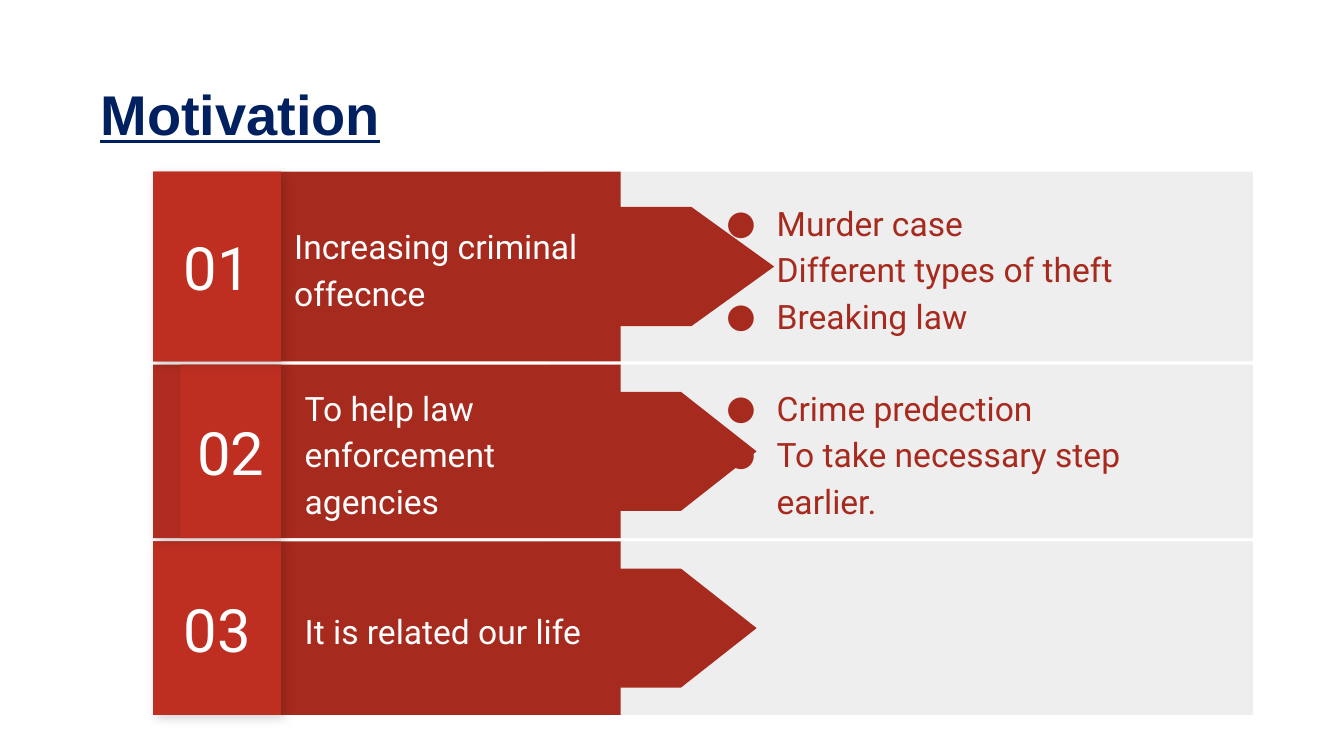
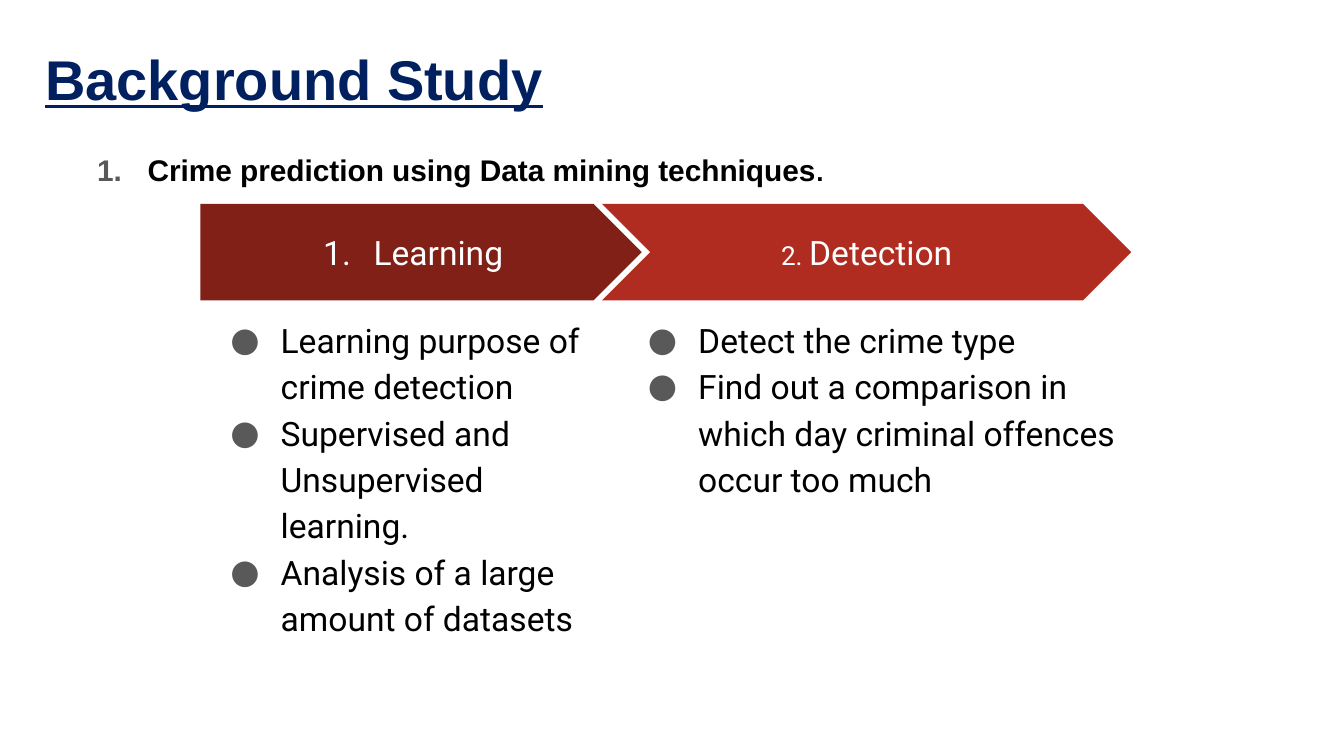
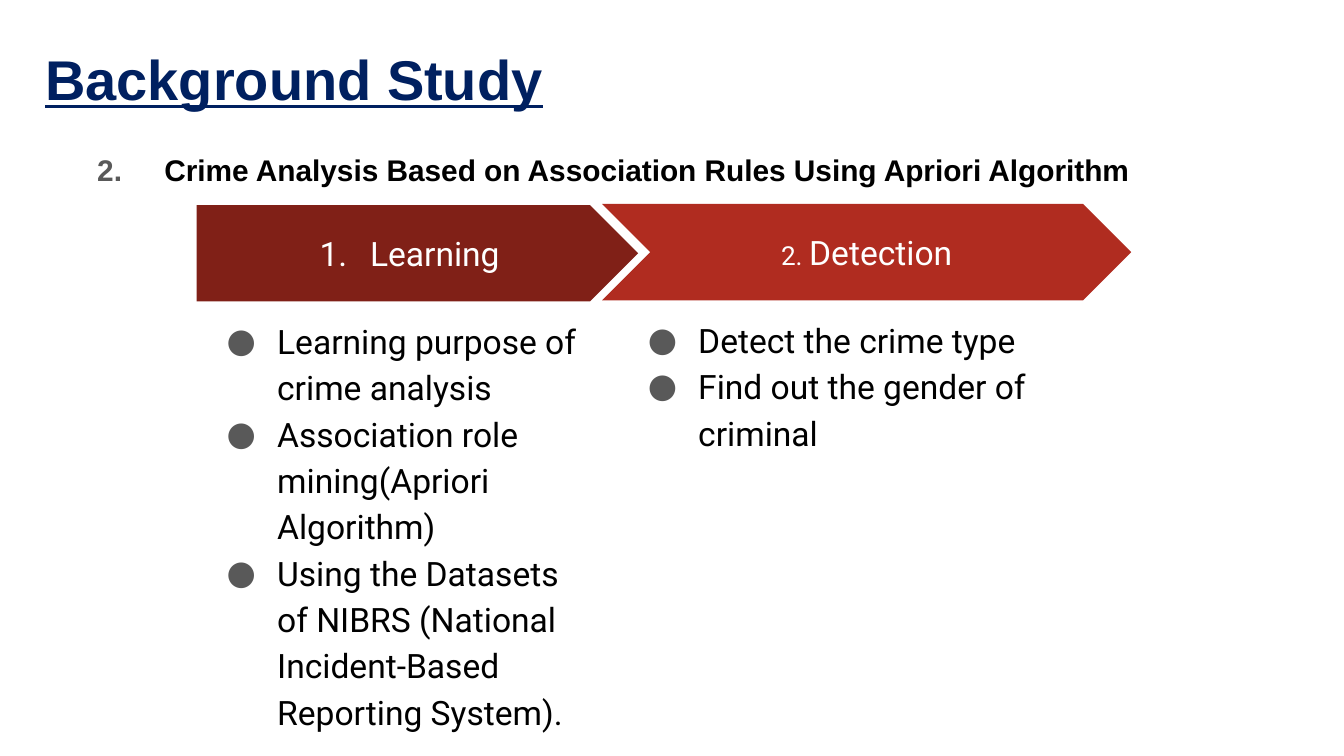
"""Build three slides on the motivation and background of crime prediction."""
from lxml.etree import SubElement
from pptx import Presentation
from pptx.dml.color import RGBColor
from pptx.enum.shapes import MSO_SHAPE as Shape
from pptx.enum.text import MSO_ANCHOR as Anchor, MSO_AUTO_SIZE as AutoSize, PP_ALIGN as Align
from pptx.oxml.ns import qn
from pptx.util import Pt

COLORS = {
    "navy": "002060", "white": "FFFFFF", "black": "000000", "gray": "595959",
    "panel": "EEEEEE", "crimson": "A72A1E", "brick": "B02C20",
    "scarlet": "BE2F22", "maroon": "802017",
}
HEAD, BODY = "Arial", "Roboto"
BULLET, NUMBER = ("buChar", "char", "●"), ("buAutoNum", "type", "arabicPeriod")


class Deck:
    def __init__(self, width, height):
        self.prs = Presentation()
        self.prs.slide_width, self.prs.slide_height = Pt(width), Pt(height)
        self.slide = None

    def color(self, name):
        return RGBColor.from_string(COLORS[name])

    def new_slide(self, title, left, top, width):
        self.slide = self.prs.slides.add_slide(self.prs.slide_layouts[5])
        heading = self.slide.shapes.title
        heading.left, heading.top = Pt(left), Pt(top)
        heading.width, heading.height = Pt(width), Pt(45.4)
        frame = self.frame(heading, Anchor.TOP)
        paragraph = self.paragraph(frame)
        self.run(paragraph, title, 30, "navy", HEAD, bold=True).underline = True

    def frame(self, shape, anchor):
        frame = shape.text_frame
        frame.auto_size, frame.word_wrap = AutoSize.NONE, True
        frame.vertical_anchor = anchor
        frame.margin_left = frame.margin_right = Pt(7.2)
        frame.margin_top = frame.margin_bottom = Pt(7.2)
        return frame

    def paragraph(self, frame, align=Align.LEFT, spacing=None):
        used = frame.paragraphs[0].runs
        paragraph = frame.add_paragraph() if used else frame.paragraphs[0]
        paragraph.alignment = align
        if spacing:
            paragraph.line_spacing = spacing
        return paragraph

    def run(self, paragraph, text, size, color, font=BODY, bold=False):
        run = paragraph.add_run()
        run.text = text
        run.font.name, run.font.size, run.font.bold = font, Pt(size), bold
        run.font.color.rgb = self.color(color)
        return run.font

    def indent(self, paragraph, margin, hanging=0):
        props = paragraph._p.get_or_add_pPr()
        props.set("marL", str(Pt(margin)))
        props.set("indent", str(-Pt(hanging)))
        return props

    def marker(self, paragraph, kind, color, font=BODY, margin=36):
        props = self.indent(paragraph, margin, 27)
        tint = SubElement(props, qn("a:buClr"))
        SubElement(tint, qn("a:srgbClr"), val=COLORS[color])
        SubElement(props, qn("a:buFont"), typeface=font)
        tag, key, value = kind
        SubElement(props, qn(f"a:{tag}"), {key: value})

    def shape(self, preset, left, top, width, height, fill):
        shape = self.slide.shapes.add_shape(preset, Pt(left), Pt(top), Pt(width), Pt(height))
        shape.shadow.inherit = False
        shape.fill.solid()
        shape.fill.fore_color.rgb = self.color(fill)
        shape.line.fill.background()
        return shape

    def cast_shadow(self, shape):
        effects = shape._element.spPr.find(qn("a:effectLst"))
        shadow = SubElement(effects, qn("a:outerShdw"), blurRad=str(Pt(5.6)),
                            dist=str(Pt(2.2)), dir=str(45 * 60000), algn="bl", rotWithShape="0")
        tint = SubElement(shadow, qn("a:srgbClr"), val=COLORS["black"])
        SubElement(tint, qn("a:alpha"), val="17000")

    def centered(self, shape):
        return self.paragraph(self.frame(shape, Anchor.MIDDLE), Align.CENTER)

    def text_box(self, left, top, width, height, anchor=Anchor.TOP):
        box = self.slide.shapes.add_textbox(Pt(left), Pt(top), Pt(width), Pt(height))
        return self.frame(box, anchor)

    def bullets(self, frame, items, color, dot):
        for item in items:
            paragraph = self.paragraph(frame, spacing=1.15)
            self.marker(paragraph, BULLET, dot)
            self.run(paragraph, item, 18, color)

    def reason(self, number, label, examples, top, height, number_left, label_left, label_width):
        middle = top + height / 2
        self.shape(Shape.RECTANGLE, 293, top, 378.2, height, "panel")
        self.shape(Shape.RECTANGLE, 150.5, top, 182, height, "crimson")
        breadth, length = 63.8, 2.18 * height
        arrow = self.shape(Shape.FLOWCHART_OFFPAGE_CONNECTOR, 304 - breadth / 2,
                           middle - length / 2, breadth, length, "crimson")
        arrow.rotation = 270
        label_frame = self.text_box(label_left, middle - 38, label_width, 76, Anchor.MIDDLE)
        self.run(self.paragraph(label_frame, spacing=1.15), label, 18, "white")
        self.cast_shadow(self.shape(Shape.RECTANGLE, 82, top, 68.5, height, "brick"))
        tile = self.shape(Shape.RECTANGLE, number_left, top, 150.5 - number_left, height, "scarlet")
        self.run(self.centered(tile), number, 32, "white")
        if examples:
            example_frame = self.text_box(373, top, 279.4, height, Anchor.MIDDLE)
            self.bullets(example_frame, examples, "crimson", "crimson")

    def phases(self, left, top, learning, detection):
        plate = self.shape(Shape.PENTAGON, left, top, 236.5, 51.6, "maroon")
        plate_text = self.centered(plate)
        self.marker(plate_text, NUMBER, "white")
        self.run(plate_text, "Learning ", 18, "white")
        self.bullets(self.text_box(left, top + 51.6, 215.3, 217.4), learning, "black", "gray")
        chevron = self.shape(Shape.CHEVRON, 322.6, 109.3, 283.4, 51.6, "brick")
        chevron_text = self.centered(chevron)
        self.run(chevron_text, "2. ", 14, "white")
        self.run(chevron_text, "Detection", 18, "white")
        self.bullets(self.text_box(331, 160.9, 283.7, 241), detection, "black", "gray")

    def study(self):
        self.new_slide("Background Study", 17, 16.6, 671)
        return self.paragraph(self.text_box(0, 71.3, 720, 321), spacing=1.15)


def main():
    deck = Deck(720, 405)

    deck.new_slide("Motivation", 46.6, 35.3, 618.5)
    reasons = [
        ("01", "Increasing criminal offecnce",
         ["Murder case", "Different types of theft", "Breaking law"], 92, 101.6, 82, 150.5, 215.3),
        ("02", "To help law enforcement agencies",
         ["Crime predection", "To take necessary step earlier."], 195.3, 93, 96.7, 156.2, 192.2),
        ("03", "It is related our life", [], 290, 93, 82, 156.2, 192.2),
    ]
    for reason in reversed(reasons):
        deck.reason(*reason)

    mining = deck.study()
    deck.marker(mining, NUMBER, "gray", HEAD, margin=72)
    deck.run(mining, "Crime prediction using Data mining techniques", 16, "black", HEAD, True)
    deck.run(mining, ".", 14, "black", HEAD, True)
    deck.phases(107.3, 109.3,
                ["Learning purpose of crime detection",
                 "Supervised and Unsupervised learning.",
                 "Analysis of a large amount of datasets"],
                ["Detect the crime type",
                 "Find out a comparison in which day criminal offences occur too much"])

    apriori = deck.study()
    deck.indent(apriori, 45)
    deck.run(apriori, "2.", 16, "gray", HEAD, True)
    deck.run(apriori, "\tCrime Analysis Based on Association Rules Using Apriori Algorithm",
             16, "black", HEAD, True)
    deck.phases(105.4, 109.9,
                ["Learning purpose of crime analysis",
                 "Association role mining(Apriori Algorithm)",
                 "Using the Datasets of NIBRS (National Incident-Based Reporting System)."],
                ["Detect the crime type", "Find out the gender of criminal"])

    deck.prs.save("out.pptx")


if __name__ == "__main__":
    main()
